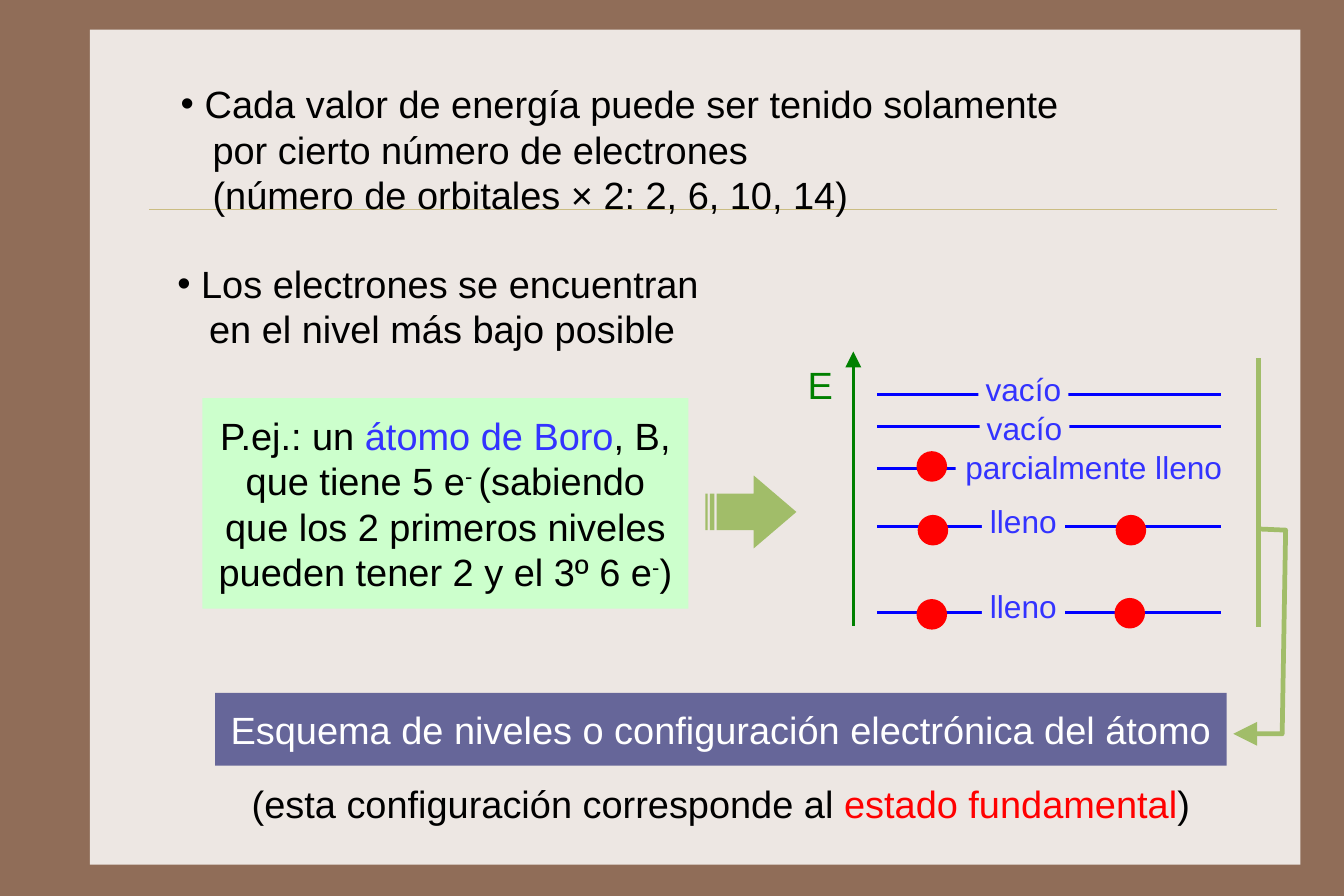
"""Build a slide on electron energy levels and the configuration of boron."""
import pptx
import pptx.dml.color
import pptx.enum.shapes
import pptx.enum.text
import pptx.oxml.ns
import pptx.util
from lxml import etree
from pptx.util import Inches

COLOURS = {
    "frame": "906D58", "paper": "EDE7E3", "rule": "CBBD83", "axis": "008000",
    "level": "0000FF", "label": "3333FF", "electron": "FF0000", "black": "000000",
    "mint": "CCFFCC", "slate": "666699", "white": "FFFFFF", "olive": "A1BD69",
}
COLOURS = {name: pptx.dml.color.RGBColor.from_string(code) for name, code in COLOURS.items()}
SHAPES = pptx.enum.shapes.MSO_SHAPE
ANCHORS = pptx.enum.text.MSO_ANCHOR
ALIGNMENTS = pptx.enum.text.PP_ALIGN
QN = pptx.oxml.ns.qn
ARROWHEAD = {"type": "triangle", "w": "lg", "len": "lg"}

deck = pptx.Presentation()
deck.slide_width, deck.slide_height = Inches(11.8125), Inches(7.875)
page = deck.slides.add_slide(deck.slide_layouts[6])
page.background.fill.solid()
page.background.fill.fore_color.rgb = COLOURS["frame"]


def add_box(place, fill=None, paragraphs=(), size=24, colour="black", inset=(0.12, 0.12),
            centred=True, wrap=True, kind=SHAPES.RECTANGLE):
    """Add a shape, or a text box if it has no fill; a span is (text, colour, raised)."""
    place = [Inches(length) for length in place]
    if fill:
        box = page.shapes.add_shape(kind, *place)
        box.shadow.inherit = False
        box.fill.solid()
        box.fill.fore_color.rgb = COLOURS[fill]
        box.line.fill.background()
    else:
        box = page.shapes.add_textbox(*place)
    frame = box.text_frame
    frame.word_wrap = wrap
    frame.margin_left = frame.margin_right = Inches(inset[0])
    frame.margin_top = frame.margin_bottom = Inches(inset[1])
    frame.vertical_anchor = ANCHORS.MIDDLE if inset[1] == 0.12 else ANCHORS.TOP
    for index, spans in enumerate(paragraphs):
        para = frame.add_paragraph() if index else frame.paragraphs[0]
        para.alignment = ALIGNMENTS.CENTER if centred else ALIGNMENTS.LEFT
        para.font.size, para.font.name = pptx.util.Pt(size), "Arial"
        for text, tint, raised in spans:
            span = para.add_run()
            span.text = text
            span.font.color.rgb = COLOURS[tint or colour]
            if raised:
                span.font._element.set("baseline", "30000")
    return box


def add_line(start, end, colour, width, arrow=False):
    """Add a straight line, with an arrowhead at its end if asked."""
    line = page.shapes.add_connector(pptx.enum.shapes.MSO_CONNECTOR.STRAIGHT,
                                     *[Inches(length) for length in (*start, *end)])
    line.line.color.rgb = COLOURS[colour]
    line.line.width = pptx.util.Pt(width)
    if arrow:
        etree.SubElement(line.line._get_or_add_ln(), QN("a:tailEnd"), ARROWHEAD)
    etree.SubElement(line._element.spPr, QN("a:effectLst"))


add_box((0.79, 0.26, 10.64, 7.34), "paper")
add_line((1.31, 1.84), (11.22, 1.84), "rule", 0.25)

bullets = [
    ((1.49, 0.58, 9.01, 1.47), ["Cada valor de energía puede ser tenido solamente",
                                "por cierto número de electrones",
                                "(número de orbitales × 2: 2, 6, 10, 14)"]),
    ((1.46, 2.16, 5.03, 1.07), ["Los electrones se encuentran", "en el nivel más bajo posible"]),
]
for place, lines in bullets:
    box = add_box(place, inset=(0.1, 0.13), centred=False)
    for index, text in enumerate(lines):
        para = box.text_frame.add_paragraph() if index else box.text_frame.paragraphs[0]
        properties = para._p.get_or_add_pPr()
        properties.set("marL", str(Inches(0.28 if index else 0.21)))
        properties.set("indent", str(0 if index else Inches(-0.21)))
        if index:
            etree.SubElement(properties, QN("a:buNone"))
        else:
            etree.SubElement(properties, QN("a:buFont"), typeface="Arial")
            etree.SubElement(properties, QN("a:buChar"), char="•")
        para.font.size, para.font.name = pptx.util.Pt(24), "Arial"
        para.font.color.rgb = COLOURS["black"]
        para.add_run().text = text

add_line((7.5, 5.5), (7.5, 3.09), "axis", 2, arrow=True)
add_box((7, 3.05, 0.38, 0.59), paragraphs=[[("E", "axis", False)]], inset=(0.1, 0.13),
        centred=False, wrap=False)

for height in (5.38, 4.63, 4.12, 3.75, 3.47):
    add_line((7.71, height), (10.73, height), "level", 2)

for left, top in ((8.07, 5.28), (9.81, 5.27), (8.08, 4.54), (9.82, 4.54), (8.07, 3.98)):
    electron = add_box((left, top, 0.24, 0.24), "electron", kind=SHAPES.OVAL)
    electron.line.color.rgb = COLOURS["electron"]
    electron.line.width = pptx.util.Pt(2)

labels = [
    ("lleno", (8.63, 5.07, 0.73, 0.48), 0.09),
    ("lleno", (8.63, 4.32, 0.73, 0.48), 0.09),
    ("parcialmente lleno", (8.4, 3.9, 2.43, 0.42), 0.04),
    ("vacío", (8.6, 3.16, 0.79, 0.48), 0.09),
    ("vacío", (8.61, 3.55, 0.79, 0.42), 0.04),
]
for text, place, margin in labels:
    add_box(place, "paper", [[(text, "label", False)]], size=20, inset=(0, margin), wrap=False)

add_box((1.78, 3.5, 4.27, 1.85), "mint", [[
    ("P.ej.: un ", None, False), ("átomo de Boro", "label", False),
    (", B, que tiene 5 e", None, False), ("- ", None, True),
    ("(sabiendo que los 2 primeros niveles pueden tener 2 y el 3º 6 e", None, False),
    ("-", None, True), (")", None, False)]])
add_box((1.89, 6.09, 8.89, 0.64), "slate",
        [[("Esquema de niveles o configuración electrónica del átomo", "white", False)]])
add_box((1.89, 6.74, 8.89, 0.64), paragraphs=[[
    ("(esta configuración corresponde al ", None, False),
    ("estado fundamental", "electron", False), (")", None, False)]])

add_line((11.06, 3.15), (11.06, 5.51), "olive", 3)
corners = [(Inches(x), Inches(y))
           for x, y in ((11.07, 4.65), (11.3, 4.66), (11.27, 6.45), (10.84, 6.45))]
builder = page.shapes.build_freeform(*corners[0])
builder.add_line_segments(corners[1:], close=False)
route = builder.convert_to_shape()
route.shadow.inherit = False
route.fill.background()
route.line.color.rgb = COLOURS["olive"]
route.line.width = pptx.util.Pt(3)
etree.SubElement(route.line._get_or_add_ln(), QN("a:tailEnd"), ARROWHEAD)

arrow = add_box((6.2, 4.18, 0.8, 0.64), "olive", kind=SHAPES.STRIPED_RIGHT_ARROW)
arrow.adjustments[0], arrow.adjustments[1] = 0.5, 0.585

deck.save("out.pptx")
